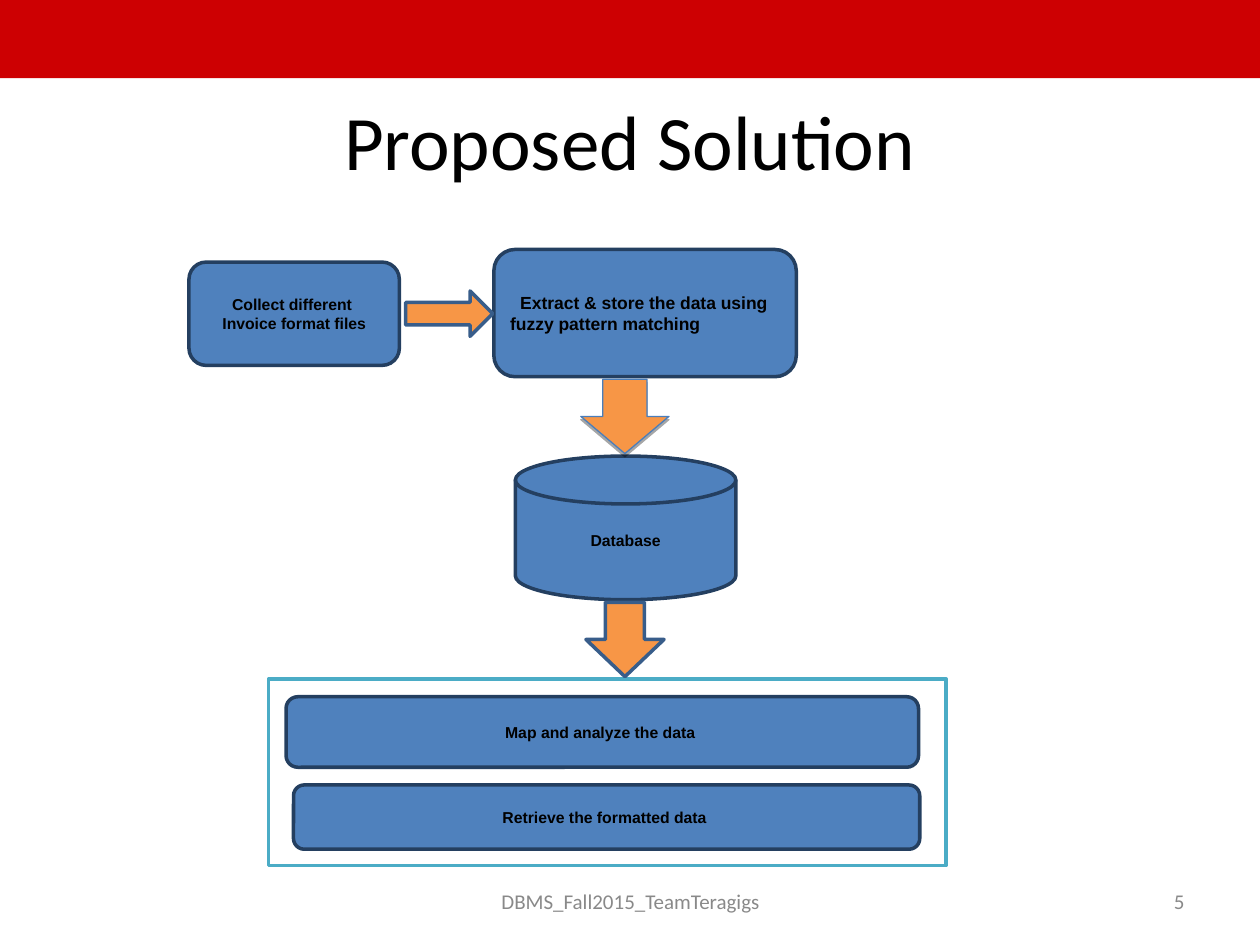
from dataclasses import dataclass

from lxml.etree import SubElement
from pptx import Presentation
from pptx.dml.color import RGBColor
from pptx.enum.shapes import MSO_SHAPE
from pptx.enum.text import MSO_ANCHOR, PP_ALIGN
from pptx.oxml.ns import qn
from pptx.util import Inches, Pt


@dataclass(frozen=True)
class Theme:
    """Colours, fonts and type sizes of the slide."""
    banner: str = "CD0002"
    paper: str = "FFFFFF"
    ink: str = "000000"
    muted: str = "898989"
    step: str = "4F81BD"
    step_edge: str = "243F60"
    arrow: str = "F79646"
    arrow_edge: str = "385D8A"
    soft_arrow_edge: str = "4A7EBB"
    frame: str = "4BACC6"
    heading_font: str = "Calibri"
    step_font: str = "Arial"
    title_size: int = 44
    footer_size: int = 12
    step_size: int = 9
    large_step_size: int = 10
    edge_width: float = 2
    thin_edge_width: float = 0.75


THEME = Theme()
COLUMNS, ROWS = 100, 75
CELL = Inches(0.1)


def grid(*cells):
    """Turn left, top, width and height in grid cells into lengths."""
    return [round(cell * CELL) for cell in cells]


def write(shape, text, size, font, color, align, bold=False):
    """Set one centred-in-height paragraph and format its runs."""
    frame = shape.text_frame
    frame.word_wrap = True
    frame.vertical_anchor = MSO_ANCHOR.MIDDLE
    para = frame.paragraphs[0]
    para.text = text
    para.alignment = align
    for span in para.runs:
        span.font.size = Pt(size)
        span.font.name = font
        span.font.bold = bold
        span.font.color.rgb = RGBColor.from_string(color)
    return para


def add_label(slide, cells, text, size, color, align=PP_ALIGN.CENTER):
    """Add a plain text box."""
    box = slide.shapes.add_textbox(*grid(*cells))
    write(box, text, size, THEME.heading_font, color, align)


def add_block(slide, kind, cells, fill, edge=None, width=THEME.edge_width):
    """Add a filled preset shape, with an outline if an edge colour is given."""
    block = slide.shapes.add_shape(kind, *grid(*cells))
    block.shadow.inherit = False
    block.fill.solid()
    block.fill.fore_color.rgb = RGBColor.from_string(fill)
    if edge:
        block.line.color.rgb = RGBColor.from_string(edge)
        block.line.width = Pt(width)
    else:
        block.line.fill.background()
    return block


def add_step(slide, cells, text, kind=MSO_SHAPE.ROUNDED_RECTANGLE,
             size=THEME.step_size, align=PP_ALIGN.CENTER):
    """Add a process step and return its paragraph."""
    step = add_block(slide, kind, cells, THEME.step, THEME.step_edge)
    frame = step.text_frame
    frame.margin_left = frame.margin_right = Inches(0.08)
    frame.margin_top = frame.margin_bottom = Inches(0.04)
    return write(step, text, size, THEME.step_font, THEME.ink, align, bold=True)


def add_arrow(slide, kind, cells, edge=THEME.arrow_edge, width=THEME.edge_width):
    """Add an orange block arrow."""
    return add_block(slide, kind, cells, THEME.arrow, edge, width)


def drop_shadow(shape):
    """Give a shape a short, sharp shadow below it."""
    effects = shape._element.spPr.find(qn("a:effectLst"))
    shadow = SubElement(effects, qn("a:outerShdw"), blurRad="0", dist=str(Pt(1.8)),
                        dir="5400000", rotWithShape="0")
    color = SubElement(shadow, qn("a:srgbClr"), val=THEME.ink)
    SubElement(color, qn("a:alpha"), val="35000")


def add_flow(slide):
    """Add the steps from collecting files to retrieving data."""
    add_block(slide, MSO_SHAPE.RECTANGLE, (21.3, 53.9, 53.8, 14.8),
              THEME.paper, THEME.frame)
    add_step(slide, (22.7, 55.3, 50.2, 5.6), "Map and analyze the data ")
    add_step(slide, (23.3, 62.3, 49.7, 5.1), "Retrieve the formatted data ")
    add_step(slide, (40.9, 36.2, 17.5, 11.4), "Database",
             MSO_SHAPE.FLOWCHART_MAGNETIC_DISK)
    extract = add_step(slide, (39.2, 19.8, 24, 10.1),
                       "Extract & store the data using fuzzy pattern matching",
                       size=THEME.large_step_size, align=PP_ALIGN.LEFT)
    extract._p.get_or_add_pPr().set("indent", str(Inches(0.08)))
    soft_arrow = add_arrow(slide, MSO_SHAPE.DOWN_ARROW, (46.1, 30.1, 7, 5.9),
                           THEME.soft_arrow_edge, THEME.thin_edge_width)
    drop_shadow(soft_arrow)
    add_arrow(slide, MSO_SHAPE.RIGHT_ARROW, (32.2, 23.1, 6.9, 3.6))
    add_arrow(slide, MSO_SHAPE.DOWN_ARROW, (46.5, 47.8, 6.2, 5.9))
    add_step(slide, (15, 20.8, 16.7, 8.2), "Collect different \vInvoice format files")


def main():
    """Build and save the slide."""
    deck = Presentation()
    deck.slide_width, deck.slide_height = COLUMNS * CELL, ROWS * CELL
    slide = deck.slides.add_slide(deck.slide_layouts[6])
    add_block(slide, MSO_SHAPE.RECTANGLE, (0, 0, COLUMNS, 6.2), THEME.banner)
    add_label(slide, (5, 6.7, 90, 8.8), "Proposed Solution",
              THEME.title_size, THEME.ink)
    add_flow(slide)
    add_label(slide, (34.2, 69.5, 31.7, 4), "DBMS_Fall2015_TeamTeragigs",
              THEME.footer_size, THEME.muted)
    add_label(slide, (71.7, 69.5, 23.3, 4), "5",
              THEME.footer_size, THEME.muted, PP_ALIGN.RIGHT)
    deck.save("out.pptx")


main()
